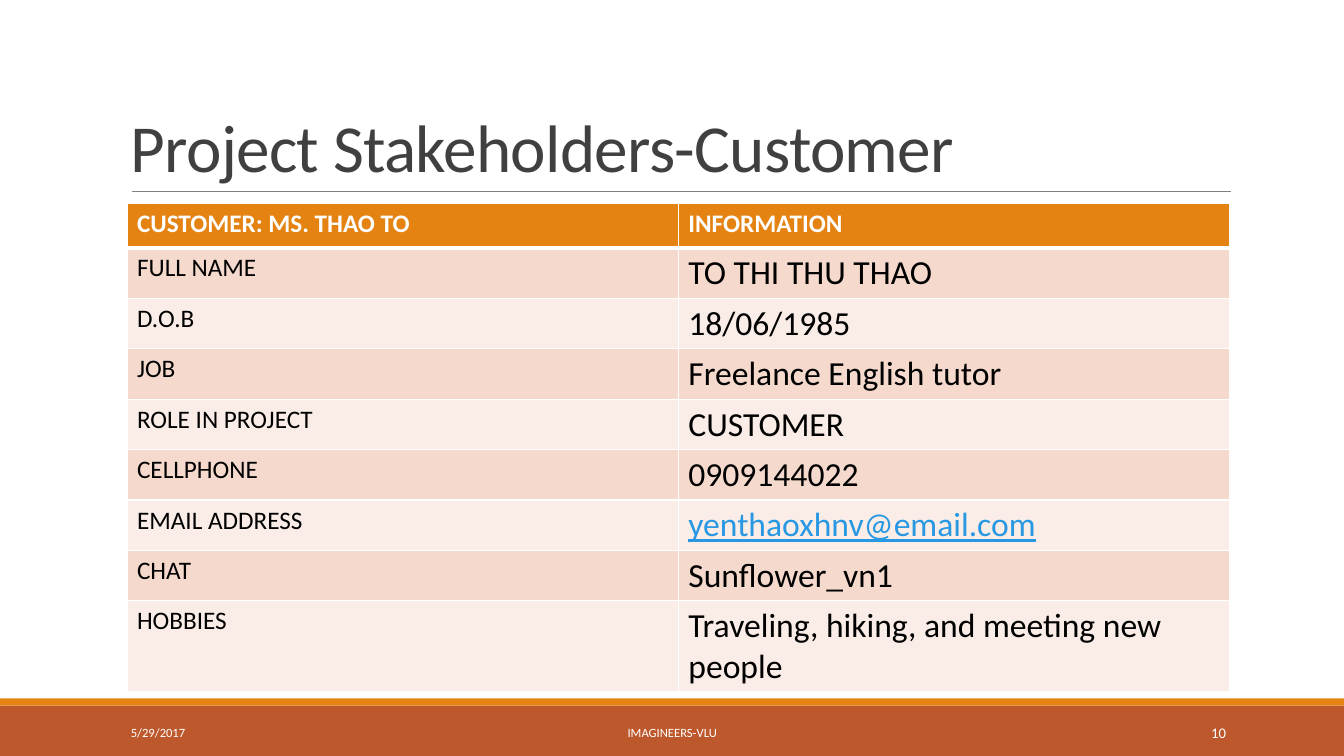
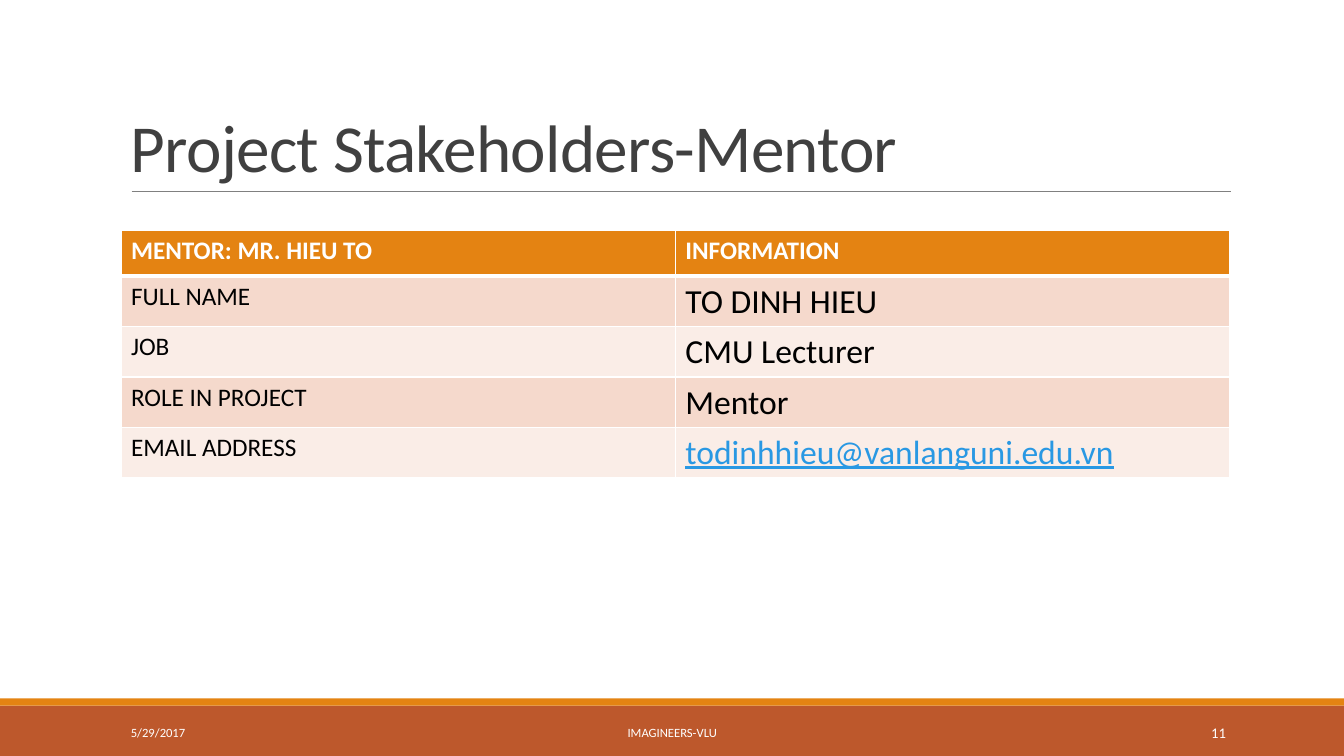
from dataclasses import dataclass

from lxml import etree
from pptx import Presentation
from pptx import util as u
from pptx.dml.color import RGBColor
from pptx.enum import shapes, text
from pptx.oxml.ns import qn

Pt = u.Pt
LEFT, CENTER, RIGHT = text.PP_ALIGN.LEFT, text.PP_ALIGN.CENTER, text.PP_ALIGN.RIGHT
MIDDLE, BOTTOM = text.MSO_ANCHOR.MIDDLE, text.MSO_ANCHOR.BOTTOM


@dataclass
class Theme:
    font: str = "Calibri"
    title: str = "404040"
    rule: str = "808080"
    accent: str = "E48312"
    footer: str = "BD582C"
    bands: tuple = ("F5D9CC", "FAEDE7")
    white: str = "FFFFFF"
    black: str = "000000"
    email: str = "2998E3"
    title_size: float = 48
    label_size: float = 18
    value_size: float = 24
    footer_size: float = 9
    number_size: float = 10.5


T = Theme()


def write(tf, content, size, color, align=LEFT, bold=False, underline=False,
          anchor=None, line_spacing=None, spacing=None):
    tf.word_wrap = True
    if anchor is not None:
        tf.vertical_anchor = anchor
    p = tf.paragraphs[0]
    p.alignment = align
    if line_spacing:
        p.line_spacing = line_spacing
    r = p.add_run()
    r.text = content
    r.font.name = T.font
    r.font.size = Pt(size)
    r.font.bold = bold
    r.font.underline = underline
    r.font.color.rgb = RGBColor.from_string(color)
    if spacing:
        r.font._element.set("spc", str(int(spacing * 100)))


def set_border(cell, side, width):
    ln = etree.SubElement(cell._tc.get_or_add_tcPr(), qn(f"a:{side}"), w=str(Pt(width)))
    fill = etree.SubElement(ln, qn("a:solidFill"))
    etree.SubElement(fill, qn("a:srgbClr"), val=T.white)


slides = [
    dict(
        title="Project Stakeholders-Customer", number="10",
        left=90.7, top=145.5, width=787.7, heights=[31.5] + [34.6] * 7 + [62],
        rows=[
            ("CUSTOMER: MS. THAO TO", "INFORMATION"),
            ("FULL NAME", "TO THI THU THAO"),
            ("D.O.B", "18/06/1985"),
            ("JOB", "Freelance English tutor"),
            ("ROLE IN PROJECT", "CUSTOMER"),
            ("CELLPHONE", "0909144022"),
            ("EMAIL ADDRESS", "yenthaoxhnv@email.com"),
            ("CHAT", "Sunflower_vn1"),
            ("HOBBIES", "Traveling, hiking, and meeting new people"),
        ],
    ),
    dict(
        title="Project Stakeholders-Mentor", number="11",
        left=86.4, top=164.9, width=792, heights=[32.4] * 5,
        rows=[
            ("MENTOR: MR. HIEU TO", "INFORMATION"),
            ("FULL NAME", "TO DINH HIEU"),
            ("JOB", "CMU Lecturer"),
            ("ROLE IN PROJECT", "Mentor"),
            ("EMAIL ADDRESS", "todinhhieu@vanlanguni.edu.vn"),
        ],
    ),
]

prs = Presentation()
prs.slide_width, prs.slide_height = Pt(960), Pt(540)

for data in slides:
    s = prs.slides.add_slide(prs.slide_layouts[6])

    for top, height, color in [(504, 36, T.footer), (498.8, 5.2, T.accent)]:
        sp = s.shapes.add_shape(shapes.MSO_SHAPE.RECTANGLE, 0, Pt(top), Pt(960), Pt(height))
        sp.shadow.inherit = False
        sp.fill.solid()
        sp.fill.fore_color.rgb = RGBColor.from_string(color)
        sp.line.fill.background()

    rule = s.shapes.add_connector(shapes.MSO_CONNECTOR.STRAIGHT,
                                  Pt(94), Pt(136.8), Pt(879), Pt(136.8))
    rule.line.color.rgb = RGBColor.from_string(T.rule)
    rule.line.width = Pt(0.5)
    etree.SubElement(rule._element.spPr, qn("a:effectLst"))

    title = s.shapes.add_textbox(Pt(86.4), Pt(22.5), Pt(792), Pt(114.2))
    write(title.text_frame, data["title"], T.title_size, T.title,
          anchor=BOTTOM, line_spacing=0.85, spacing=-0.5)

    for content, left, width, align, size in [
        ("5/29/2017", 86.4, 194.7, LEFT, T.footer_size),
        ("IMAGINEERS-VLU", 290.3, 379.7, CENTER, T.footer_size),
        (data["number"], 779.5, 103.3, RIGHT, T.number_size),
    ]:
        box = s.shapes.add_textbox(Pt(left), Pt(508.6), Pt(width), Pt(28.8))
        write(box.text_frame, content, size, T.white, align=align, anchor=MIDDLE)

    rows, heights = data["rows"], data["heights"]
    table = s.shapes.add_table(len(rows), 2, Pt(data["left"]), Pt(data["top"]),
                               Pt(data["width"]), Pt(sum(heights))).table
    table.horz_banding = False
    for col in table.columns:
        col.width = Pt(data["width"] / 2)
    for i, row in enumerate(rows):
        table.rows[i].height = Pt(heights[i])
        header = i == 0
        for j, content in enumerate(row):
            cell = table.cell(i, j)
            for side, width in [("lnL", 1), ("lnR", 1),
                                ("lnT", 3 if i == 1 else 1), ("lnB", 3 if header else 1)]:
                set_border(cell, side, width)
            cell.fill.solid()
            cell.fill.fore_color.rgb = RGBColor.from_string(
                T.accent if header else T.bands[(i - 1) % 2])
            is_email = "@" in content
            write(cell.text_frame, content,
                  T.value_size if j and not header else T.label_size,
                  T.white if header else T.email if is_email else T.black,
                  bold=header, underline=is_email)

prs.save("out.pptx")
